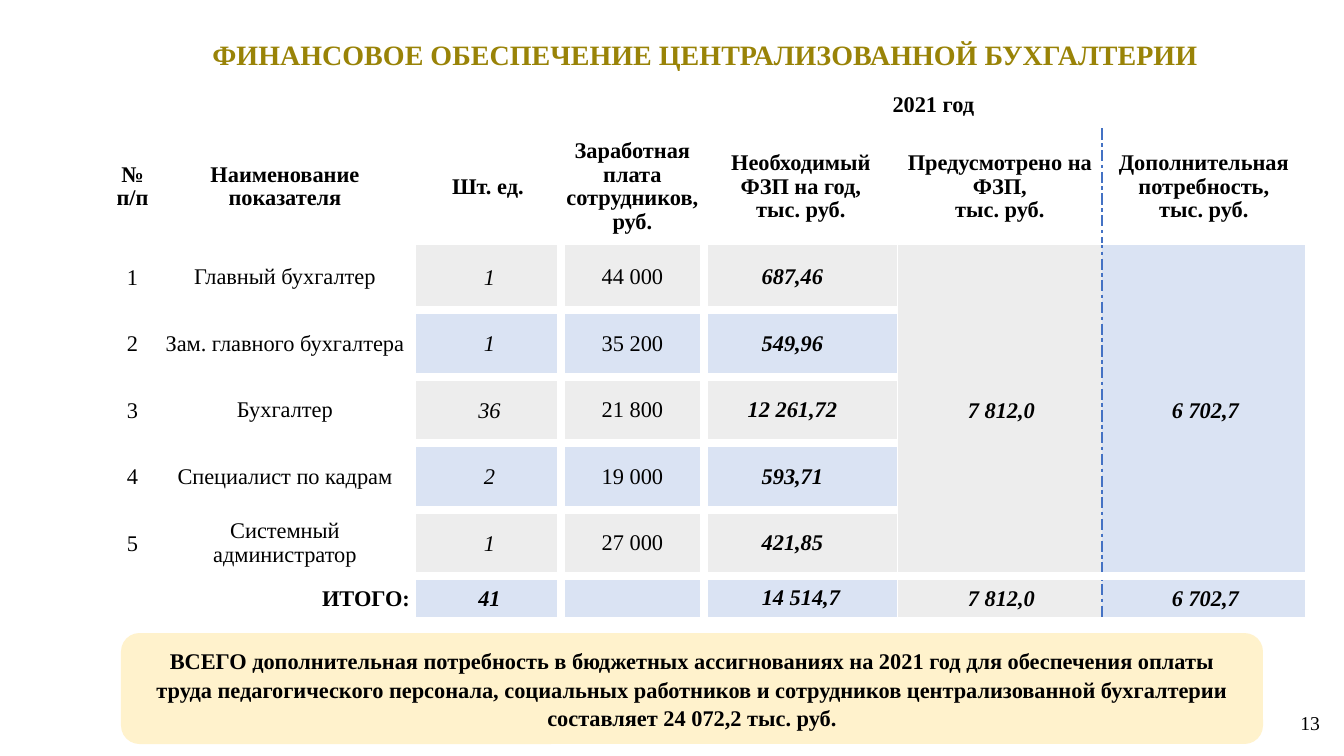
from dataclasses import dataclass
from typing import NamedTuple

from lxml.etree import SubElement
from pptx import Presentation
from pptx.dml.color import RGBColor
from pptx.enum.shapes import MSO_SHAPE as Shape
from pptx.enum.text import MSO_ANCHOR as Anchor, MSO_AUTO_SIZE as AutoSize, PP_ALIGN as Align
from pptx.oxml.ns import qn
from pptx.util import Emu, Pt

PX = 914400 / 100.8
FONT = "Times New Roman"
COLORS = {
    "title": "998307", "text": "000000", "gap": "FFFFFF", "divider": "4472C4",
    "grey": "EDEDED", "blue": "DAE3F3", "summary": "FFF2CC",
}


class Margins(NamedTuple):
    left: int
    top: int
    right: int
    bottom: int


class Edge(NamedTuple):
    color: str
    points: float
    dash: str = "solid"


class Position(NamedTuple):
    name: str
    staff: str
    salary: str
    needed: str


@dataclass(frozen=True)
class TextStyle:
    size: int = 16
    bold: bool = False
    italic: bool = False
    align: Align = Align.CENTER
    margins: Margins = Margins(1, 1, 1, 0)
    spacing: float = 0.95
    color: str = "text"


FIGURE = Margins(8, 5, 5, 3)
PLAIN = TextStyle()
HEADER = TextStyle(bold=True)
NUMBER = TextStyle(margins=Margins(0, 5, 0, 3))
STAFF = TextStyle(italic=True, margins=FIGURE)
NEEDED = TextStyle(bold=True, italic=True, margins=Margins(1, 1, 18, 0))
NEEDED_TOTAL = TextStyle(bold=True, italic=True)
TOTAL = TextStyle(bold=True, italic=True, margins=FIGURE)
TOTAL_LABEL = TextStyle(bold=True, align=Align.RIGHT, margins=FIGURE)
TITLE = TextStyle(20, True, margins=Margins(10, 5, 10, 5), color="title")
SUMMARY = TextStyle(bold=True, margins=Margins(13, 7, 13, 7), spacing=1.05)
PAGE = TextStyle(14, align=Align.RIGHT, margins=Margins(10, 5, 10, 5))

HEADINGS = [
    "№ п/п", "Наименование показателя", "Шт. ед.",
    "Заработная плата сотрудников, руб.",
    "Необходимый ФЗП на год,\nтыс. руб.",
    "Предусмотрено на ФЗП,\nтыс. руб.",
    "Дополнительная потребность,\nтыс. руб.",
]
POSITIONS = [
    Position("Главный бухгалтер", "1", "44 000", "687,46"),
    Position("Зам. главного бухгалтера", "1", "35 200", "549,96"),
    Position("Бухгалтер", "36", "21 800", "12 261,72"),
    Position("Специалист по кадрам", "2", "19 000", "593,71"),
    Position("Системный администратор", "1", "27 000", "421,85"),
]
PLANNED, EXTRA = "7 812,0", "6 702,7"
COLUMNS = [45, 260, 146, 143, 194, 204, 204]
ROWS = [48, 115, 66, 67, 66, 67, 66, 45]
FIRST, TOTAL_ROW = 2, len(ROWS) - 1
STAFF_COL, PLANNED_COL, EXTRA_COL = 2, 5, 6

GAP = Edge("gap", 6)
# Edges by the column to their right: first row they start at, then the line
UPRIGHTS = {
    3: (FIRST, GAP), 4: (FIRST, GAP), 5: (1, Edge("gap", 1)),
    6: (1, Edge("divider", 1.5, "sysDashDot")),
}


def px(length: float) -> Emu:
    return Emu(round(length * PX))


def rgb(name: str) -> RGBColor:
    return RGBColor.from_string(COLORS[name])


def write(frame, text: str, style: TextStyle) -> None:
    for index, line in enumerate(text.split("\n")):
        paragraph = frame.paragraphs[0] if index == 0 else frame.add_paragraph()
        paragraph.alignment = style.align
        paragraph.line_spacing = style.spacing
        run = paragraph.add_run()
        run.text = line
        font = run.font
        font.name, font.size = FONT, Pt(style.size)
        font.bold, font.italic = style.bold, style.italic
        font.color.rgb = rgb(style.color)


def write_box(shape, text: str, style: TextStyle) -> None:
    frame = shape.text_frame
    frame.word_wrap = True
    frame.auto_size = AutoSize.NONE
    frame.vertical_anchor = Anchor.MIDDLE
    (frame.margin_left, frame.margin_top,
     frame.margin_right, frame.margin_bottom) = map(px, style.margins)
    write(frame, text, style)


def write_cell(cell, text: str, style: TextStyle) -> None:
    cell.vertical_anchor = Anchor.MIDDLE
    (cell.margin_left, cell.margin_top,
     cell.margin_right, cell.margin_bottom) = map(px, style.margins)
    write(cell.text_frame, text, style)


def add_edge(cell, side: str, edge: Edge) -> None:
    line = SubElement(cell._tc.get_or_add_tcPr(), qn(f"a:ln{side}"), w=str(Pt(edge.points)))
    fill = SubElement(line, qn("a:solidFill"))
    SubElement(fill, qn("a:srgbClr"), val=COLORS[edge.color])
    SubElement(line, qn("a:prstDash"), val=edge.dash)


def dress_cell(cell, row: int, col: int) -> None:
    """Draw the edges of a cell, then its band colour."""
    for side, neighbour in (("L", col), ("R", col + 1)):
        start, edge = UPRIGHTS.get(neighbour, (len(ROWS), GAP))
        if row >= start:
            add_edge(cell, side, edge)
    if row < FIRST or col < STAFF_COL:
        cell.fill.background()
        return
    single = col < PLANNED_COL
    if row == TOTAL_ROW or (single and row > FIRST):
        add_edge(cell, "T", GAP)
    if single or row in (FIRST, TOTAL_ROW - 1, TOTAL_ROW):
        add_edge(cell, "B", GAP)
    grey = row % 2 == 0 if single else col == PLANNED_COL
    cell.fill.solid()
    cell.fill.fore_color.rgb = rgb("grey" if grey else "blue")


deck = Presentation()
deck.slide_width, deck.slide_height = px(1344), px(756)
slide = deck.slides.add_slide(deck.slide_layouts[5])

# Title
title = slide.shapes.title
title.left, title.top, title.width, title.height = map(px, (107, 20, 1196, 72))
write_box(title, "ФИНАНСОВОЕ ОБЕСПЕЧЕНИЕ ЦЕНТРАЛИЗОВАННОЙ БУХГАЛТЕРИИ", TITLE)

# Payroll table
payroll = slide.shapes.add_table(
    len(ROWS), len(COLUMNS), px(110), px(81), px(sum(COLUMNS)), px(sum(ROWS))).table
payroll.first_row = payroll.horz_banding = False
for column, width in zip(payroll.columns, COLUMNS):
    column.width = px(width)
for band, height in zip(payroll.rows, ROWS):
    band.height = px(height)
for row in range(len(ROWS)):
    for col in range(len(COLUMNS)):
        dress_cell(payroll.cell(row, col), row, col)
payroll.cell(0, 3).merge(payroll.cell(0, EXTRA_COL))
for col in (PLANNED_COL, EXTRA_COL):
    payroll.cell(FIRST, col).merge(payroll.cell(TOTAL_ROW - 1, col))

# Table text
write_cell(payroll.cell(0, 3), "2021 год", HEADER)
for col, heading in enumerate(HEADINGS):
    write_cell(payroll.cell(1, col), heading, HEADER)
for number, position in enumerate(POSITIONS, 1):
    styles = (NUMBER, PLAIN, STAFF, PLAIN, NEEDED)
    for col, (text, style) in enumerate(zip((str(number), *position), styles)):
        write_cell(payroll.cell(number + 1, col), text, style)
for col, amount in ((PLANNED_COL, PLANNED), (EXTRA_COL, EXTRA)):
    for row in (FIRST, TOTAL_ROW):
        write_cell(payroll.cell(row, col), amount, TOTAL)
for col, text, style in ((1, "ИТОГО:", TOTAL_LABEL), (2, "41", TOTAL),
                         (4, "14 514,7", NEEDED_TOTAL)):
    write_cell(payroll.cell(TOTAL_ROW, col), text, style)

# Page number
page = slide.shapes.add_textbox(*map(px, (997, 704, 333, 40)))
write_box(page, "13", PAGE)

# Summary
summary = slide.shapes.add_shape(Shape.ROUNDED_RECTANGLE, *map(px, (121, 633, 1142, 111)))
summary.shadow.inherit = False
summary.fill.solid()
summary.fill.fore_color.rgb = rgb("summary")
summary.line.fill.background()
write_box(summary, "ВСЕГО дополнительная потребность в бюджетных ассигнованиях на 2021 год "
          "для обеспечения оплаты труда педагогического персонала, социальных работников "
          "и сотрудников централизованной бухгалтерии\nсоставляет 24 072,2 тыс. руб.", SUMMARY)

deck.save("out.pptx")
